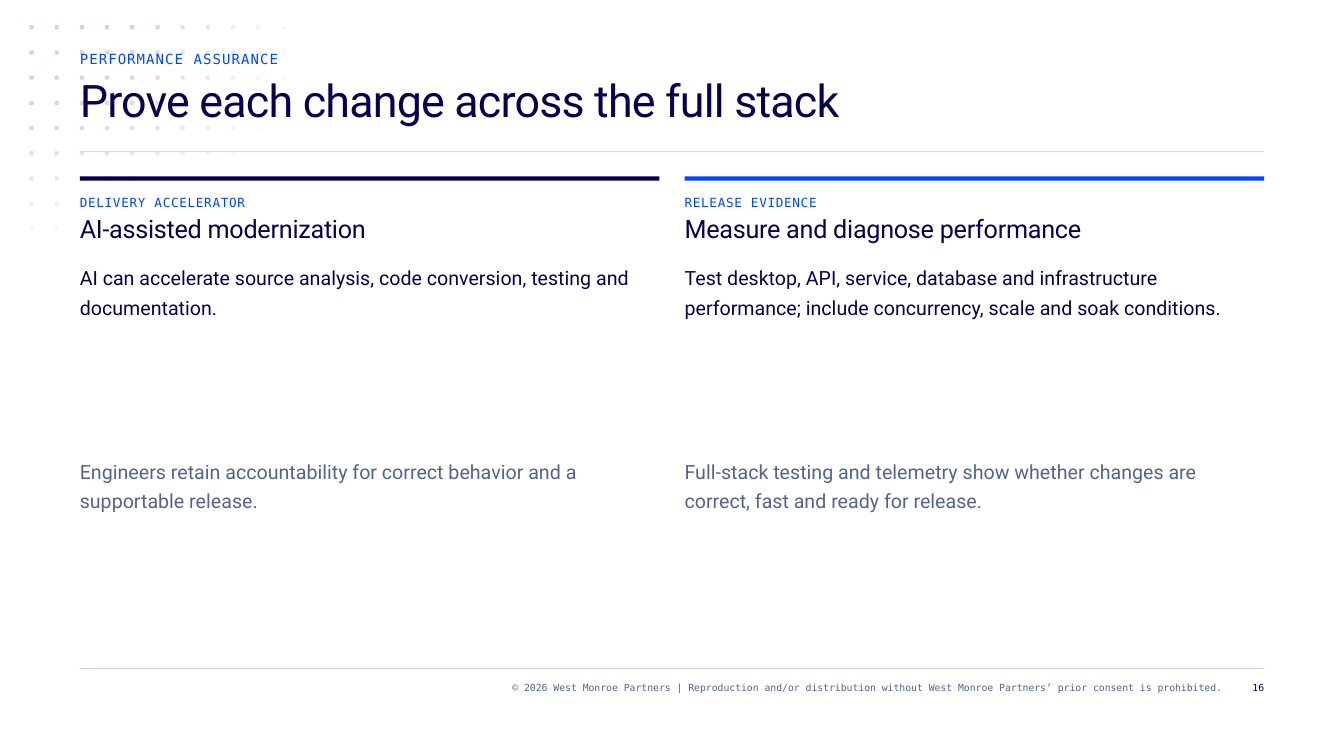
from dataclasses import dataclass
from math import hypot

from lxml.etree import SubElement
from pptx import Presentation
from pptx.dml.color import RGBColor
from pptx.enum.shapes import MSO_SHAPE
from pptx.enum.text import MSO_ANCHOR, PP_ALIGN
from pptx.oxml.ns import qn
from pptx.util import Pt


@dataclass(frozen=True)
class Style:
    size: float
    line: float
    font: str
    color: str
    track: int = 0
    align: PP_ALIGN = PP_ALIGN.LEFT


@dataclass(frozen=True)
class Theme:
    navy: str = "070154"
    blue: str = "0047FF"
    slate: str = "50658E"
    pale: str = "CED7E6"
    sans: str = "Roboto"
    mono: str = "DejaVu Sans Mono"
    kicker: Style = Style(10, 12, mono, blue, 80)
    title: Style = Style(32, 36, sans, navy, -60)
    label: Style = Style(9, 12, mono, blue, 50)
    head: Style = Style(18, 24, sans, navy, -20)
    body: Style = Style(14, 21, sans, navy)
    note: Style = Style(14, 21, sans, slate)
    legal: Style = Style(7, 9, mono, slate, align=PP_ALIGN.RIGHT)
    page: Style = Style(7, 9, mono, navy, align=PP_ALIGN.RIGHT)


THEME = Theme()
GAP = 18
CARDS = [
    (THEME.navy, "DELIVERY ACCELERATOR", "AI-assisted modernization",
     "AI can accelerate source analysis, code conversion, testing and documentation.",
     "Engineers retain accountability for correct behavior and a supportable release."),
    (THEME.blue, "RELEASE EVIDENCE", "Measure and diagnose performance",
     "Test desktop, API, service, database and infrastructure performance; "
     "include concurrency, scale and soak conditions.",
     "Full-stack testing and telemetry show whether changes are correct, "
     "fast and ready for release."),
]


def add_bar(slide, left, top, width, height, color, alpha=100):
    bar = slide.shapes.add_shape(
        MSO_SHAPE.RECTANGLE, Pt(left), Pt(top), Pt(width), Pt(height))
    bar.shadow.inherit = False
    bar.line.fill.background()
    bar.fill.solid()
    bar.fill.fore_color.rgb = RGBColor.from_string(color)
    if alpha < 100:
        tint = bar.fill._xPr.find(".//" + qn("a:srgbClr"))
        SubElement(tint, qn("a:alpha")).set("val", str(alpha * 1000))


def add_text(slide, left, top, width, height, text, style):
    box = slide.shapes.add_textbox(Pt(left), Pt(top), Pt(width), Pt(height))
    frame = box.text_frame
    frame.word_wrap = True
    frame.vertical_anchor = MSO_ANCHOR.TOP
    frame.margin_left = frame.margin_right = 0
    frame.margin_top = frame.margin_bottom = 0
    para = frame.paragraphs[0]
    para.alignment = style.align
    para.line_spacing = Pt(style.line)
    run = para.add_run()
    run.text = text
    font = para.font
    font.name = style.font
    font.size = Pt(style.size)
    font.color.rgb = RGBColor.from_string(style.color)
    if style.track:
        run.font._element.set("spc", str(style.track))


def add_dots(slide, left, top):
    for col in range(11):
        for row in range(9):
            alpha = 152.7 - hypot(13.85 * col, 16.85 * row)
            if alpha >= 1.5:
                add_bar(slide, left + col * GAP, top + row * GAP, 3, 3,
                        THEME.pale, min(100, round(alpha)))


def add_header(slide, left, top, width, kicker, title):
    add_bar(slide, left, top + 72, width, 0.75, THEME.pale)
    add_text(slide, left, top, width, 12, kicker, THEME.kicker)
    add_text(slide, left, top + 18, width, 54, title, THEME.title)


def add_card(slide, left, top, width, color, label, head, body, note):
    add_bar(slide, left, top, width, 3, color)
    add_text(slide, left, top + 12, width, 12, label, THEME.label)
    add_text(slide, left, top + 24, width, 24, head, THEME.head)
    add_text(slide, left, top + 60, width, 42, body, THEME.body)
    add_text(slide, left, top + 198, width, 42, note, THEME.note)


def add_footer(slide, left, top, width, legal, page):
    right = left + width
    add_bar(slide, left, top, width, 0.75, THEME.pale)
    add_text(slide, right - 732, top + 9, 702, 18, legal, THEME.legal)
    add_text(slide, right - 24, top + 9, 24, 18, page, THEME.page)


def main():
    deck = Presentation()
    deck.slide_width, deck.slide_height = Pt(960), Pt(540)
    slide = deck.slides.add_slide(deck.slide_layouts[6])
    left, width = 57, 846
    add_dots(slide, 21, 18)
    add_header(slide, left, 36, width, "PERFORMANCE ASSURANCE",
               "Prove each change across the full stack")
    span = (width - GAP) / 2
    for index, card in enumerate(CARDS):
        add_card(slide, left + index * (span + GAP), 126, span, *card)
    add_footer(slide, left, 477, width,
               "© 2026 West Monroe Partners | Reproduction and/or distribution "
               "without West Monroe Partners’ prior consent is prohibited.", "16")
    deck.save("out.pptx")


if __name__ == "__main__":
    main()
